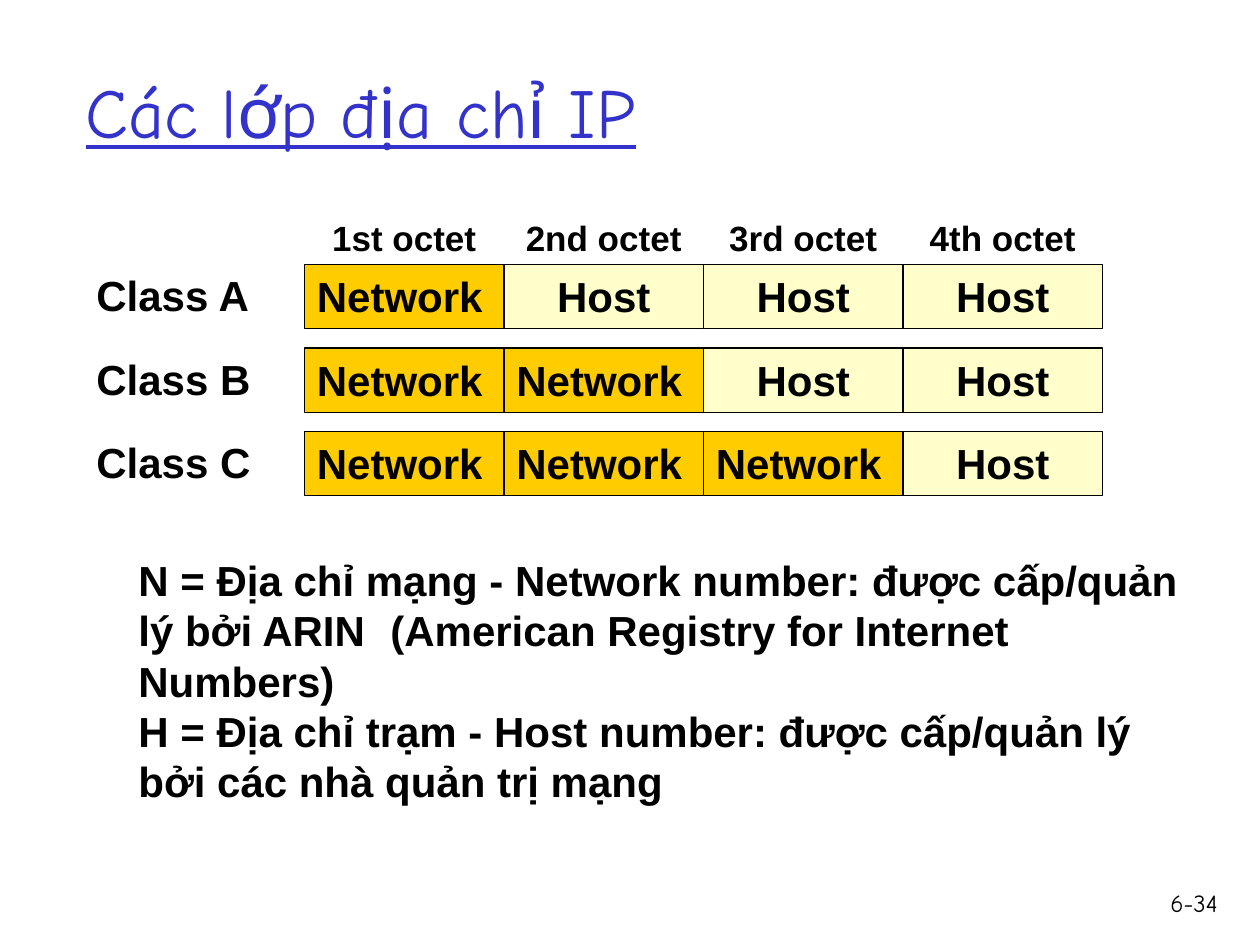
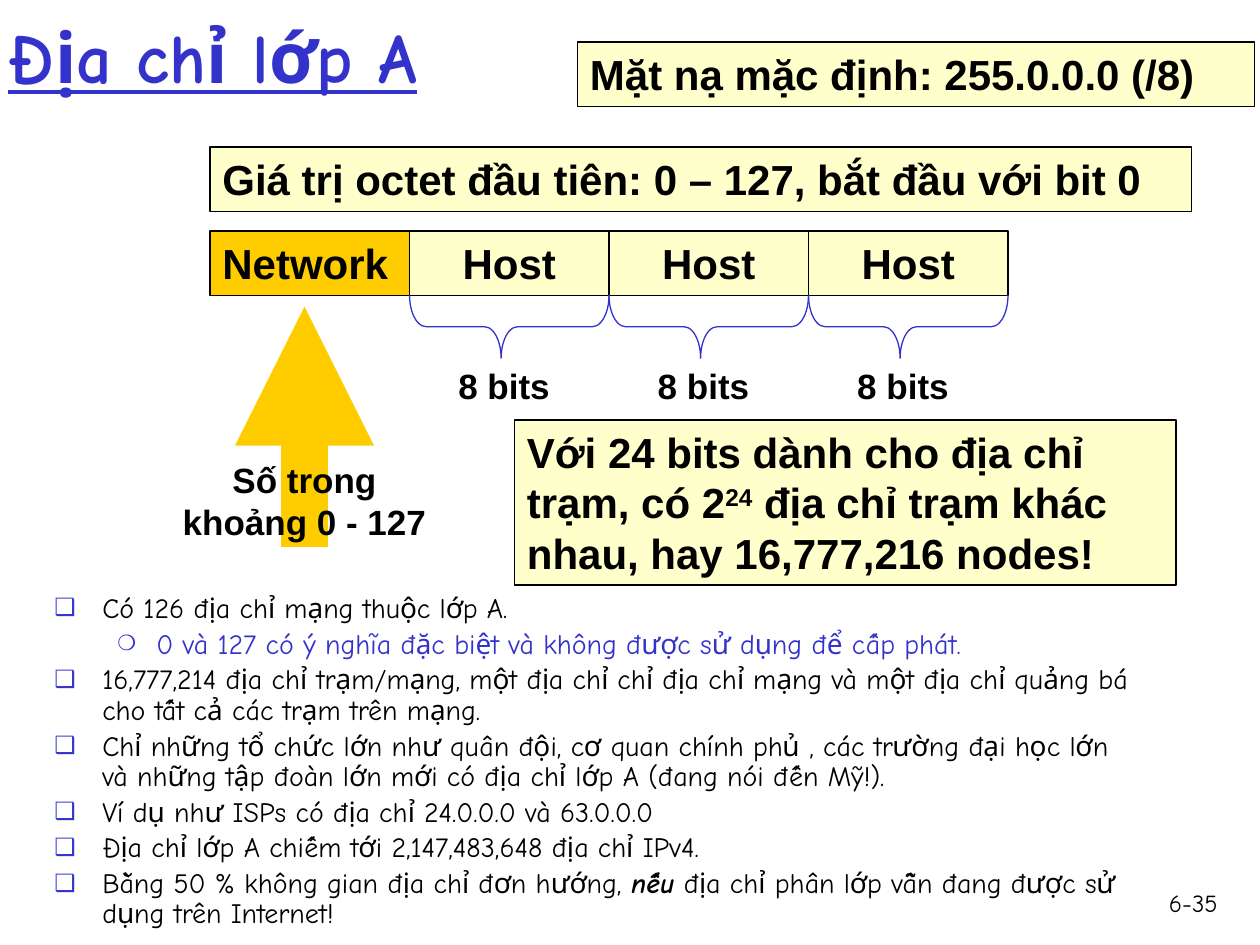
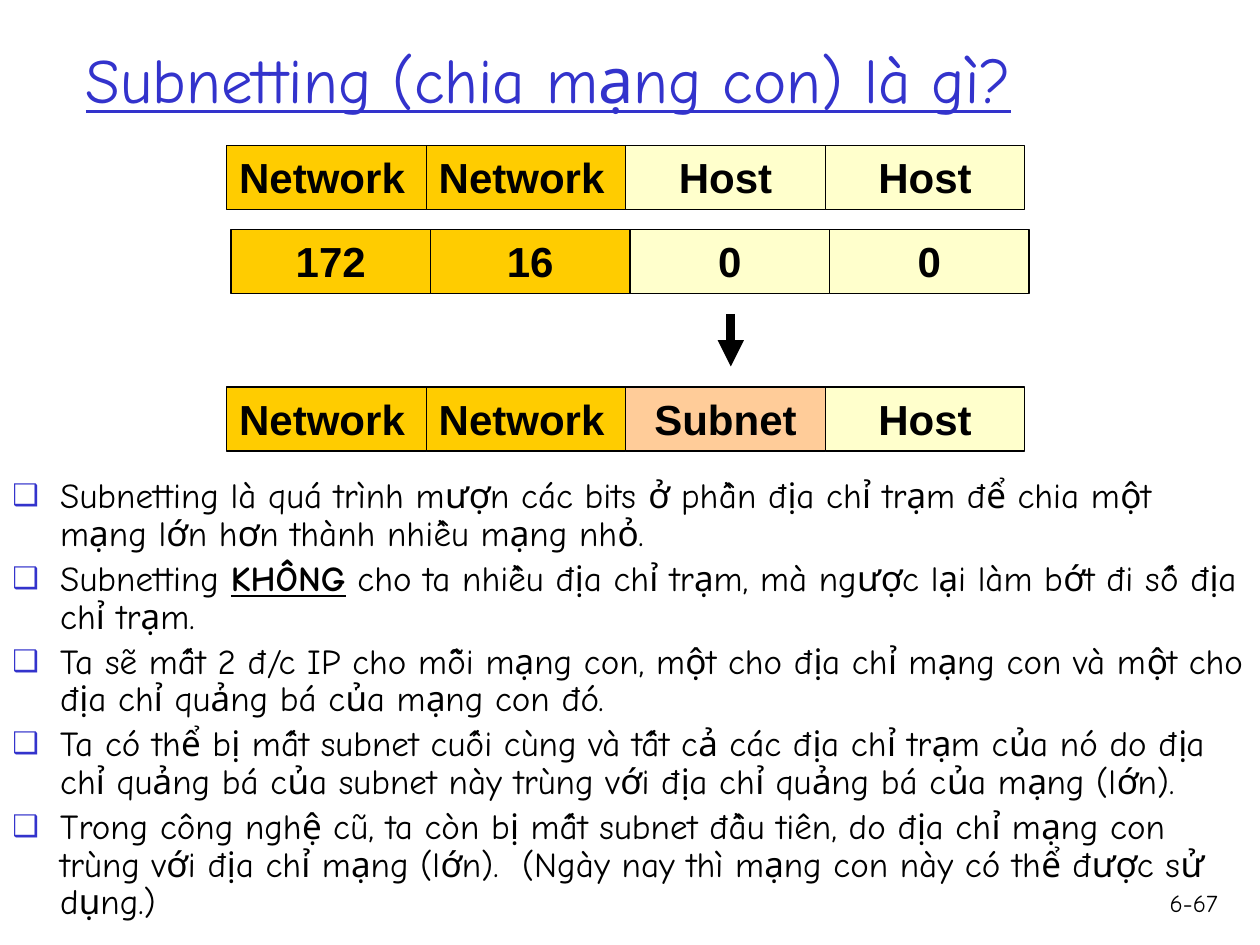
import dataclasses

import lxml.etree
import pptx
import pptx.dml.color
import pptx.enum.shapes
import pptx.enum.text
import pptx.oxml.ns
import pptx.util

ALIGN = pptx.enum.text.PP_ALIGN
ANCHOR = pptx.enum.text.MSO_ANCHOR
SHAPE = pptx.enum.shapes.MSO_SHAPE
COLUMNS, ROWS = 120, 90
OCTET_WIDTH, OCTET_HEIGHT, LABEL_HEIGHT = 19, 6.12, 5.2
NUMBER_LEFT = 109


@dataclasses.dataclass(frozen=True)
class Theme:
    ink: str = "000000"
    accent: str = "3333CC"
    network: str = "FFCC00"
    host: str = "FFFFCC"
    subnet: str = "FFCC99"
    heading_font: str = "Comic Neue"
    diagram_font: str = "Arial"
    title_size: int = 40
    long_title_size: int = 36
    strong_size: int = 24
    label_size: int = 20
    small_size: int = 16
    footer_size: int = 14
    outline: float = 0.75


def rgb(color):
    return pptx.dml.color.RGBColor.from_string(color)


def child(parent, tag, **attributes):
    return lxml.etree.SubElement(parent, pptx.oxml.ns.qn(tag), attributes)


def write(paragraph, text, *, size, font, color, bold=False, italic=False,
          underline=False, raised=False):
    run = paragraph.add_run()
    run.text = text
    run.font.size = pptx.util.Pt(size)
    run.font.name = font
    run.font.color.rgb = rgb(color)
    run.font.bold = bold
    run.font.italic = italic
    run.font.underline = underline
    if raised:
        run.font._element.set("baseline", "30000")


def write_runs(paragraph, content, **style):
    runs = [(content, {})] if isinstance(content, str) else content
    for text, changes in runs:
        write(paragraph, text, **{**style, **changes})


class Deck:
    def __init__(self, theme):
        self.theme = theme
        self.presentation = pptx.Presentation()
        self.presentation.slide_width = pptx.util.Inches(10)
        self.presentation.slide_height = pptx.util.Inches(7.5)
        self.slide = None

    def across(self, columns):
        return round(self.presentation.slide_width * columns / COLUMNS)

    def down(self, rows):
        return round(self.presentation.slide_height * rows / ROWS)

    def place(self, left, top, width, height):
        return self.across(left), self.down(top), self.across(width), self.down(height)

    def strong(self, size=None):
        return dict(size=size or self.theme.strong_size, font=self.theme.diagram_font,
                    color=self.theme.ink, bold=True)

    def start_slide(self, number):
        self.slide = self.presentation.slides.add_slide(self.presentation.slide_layouts[6])
        self.text(number, NUMBER_LEFT, 84, 8.16, 6, align=ALIGN.RIGHT,
                  size=self.theme.footer_size, font=self.theme.heading_font,
                  color=self.theme.ink)

    def frame(self, left, top, width, height):
        frame = self.slide.shapes.add_textbox(*self.place(left, top, width, height)).text_frame
        frame.word_wrap = True
        return frame

    def text(self, content, left, top, width, height, align=ALIGN.LEFT, **style):
        frame = self.frame(left, top, width, height)
        frame.paragraphs[0].alignment = align
        write_runs(frame.paragraphs[0], content, **style)
        return frame

    def title(self, content, left, top, width, height, inset=0.1, **changes):
        style = dict(size=self.theme.title_size, font=self.theme.heading_font,
                     color=self.theme.accent, underline=True)
        frame = self.text(content, left, top, width, height, **{**style, **changes})
        frame.vertical_anchor = ANCHOR.MIDDLE
        frame.margin_left = pptx.util.Inches(inset)

    def label(self, content, left, top, width, height=LABEL_HEIGHT):
        self.text(content, left, top, width, height, align=ALIGN.CENTER,
                  **self.strong(self.theme.label_size))

    def paragraphs(self, contents, left, top, width, height):
        frame = self.frame(left, top, width, height)
        for index, content in enumerate(contents):
            paragraph = frame.add_paragraph() if index else frame.paragraphs[0]
            write_runs(paragraph, content, **self.strong())

    def box(self, content, left, top, width, height=OCTET_HEIGHT, fill=None, align=ALIGN.LEFT):
        shape = self.slide.shapes.add_shape(SHAPE.RECTANGLE, *self.place(left, top, width, height))
        shape.shadow.inherit = False
        shape.fill.solid()
        shape.fill.fore_color.rgb = rgb(fill or self.theme.host)
        shape.line.color.rgb = rgb(self.theme.ink)
        shape.line.width = pptx.util.Pt(self.theme.outline)
        frame = shape.text_frame
        frame.word_wrap = True
        frame.vertical_anchor = ANCHOR.TOP
        frame.paragraphs[0].alignment = align
        write_runs(frame.paragraphs[0], content, **self.strong())

    def address(self, octets, left, top, network_count):
        for index, octet in enumerate(octets):
            fill = self.theme.network if index < network_count else self.theme.host
            self.box(octet, left + index * OCTET_WIDTH, top, OCTET_WIDTH,
                     fill=self.theme.subnet if octet == "Subnet" else fill,
                     align=ALIGN.LEFT if octet == "Network" else ALIGN.CENTER)

    def brace(self, left, top, width, depth):
        shape = self.slide.shapes.add_shape(SHAPE.RIGHT_BRACE, *self.place(
            left + (width - depth) / 2, top + (depth - width) / 2, depth, width))
        shape.rotation = 90
        shape.adjustments[0] = 0.264
        shape.adjustments[1] = 0.541
        shape.shadow.inherit = False
        shape.fill.background()
        shape.line.color.rgb = rgb(self.theme.accent)
        shape.line.width = pptx.util.Pt(self.theme.outline)

    def arrow(self, column, start, end, color, weight):
        connector = self.slide.shapes.add_connector(
            pptx.enum.shapes.MSO_CONNECTOR.STRAIGHT, self.across(column), self.down(start),
            self.across(column), self.down(end))
        connector.line.color.rgb = rgb(color)
        connector.line.width = pptx.util.Pt(weight)
        properties = connector._element.spPr
        child(properties.find(pptx.oxml.ns.qn("a:ln")), "a:tailEnd", type="triangle")
        child(properties, "a:effectLst")

    def bullets(self, items, left, top, width, height, size):
        frame = self.frame(left, top, width, height)
        for index, (level, content) in enumerate(items):
            paragraph = frame.add_paragraph() if index else frame.paragraphs[0]
            mark, scale, margin, hanging = (("❑", 85, 0.38, 0.38), ("❍", 75, 0.81, 0.31))[level]
            properties = paragraph._p.get_or_add_pPr()
            properties.set("marL", str(pptx.util.Inches(margin)))
            properties.set("indent", str(-pptx.util.Inches(hanging)))
            child(child(properties, "a:buClr"), "a:srgbClr", val=self.theme.accent)
            child(properties, "a:buSzPct", val=str(scale * 1000))
            child(properties, "a:buFont", typeface=self.theme.diagram_font)
            child(properties, "a:buChar", char=mark)
            paragraph.level = level
            paragraph.line_spacing = 0.9
            if index:
                paragraph.space_before = pptx.util.Pt(size * 0.2)
            write_runs(paragraph, content, size=size, font=self.theme.heading_font,
                       color=self.theme.accent if level else self.theme.ink)


def build_classes(deck):
    deck.start_slide("6-34")
    deck.title("Các lớp địa chỉ IP", 7, 3, 102, 15)
    left, top, step = 29, 25.2, 7.95
    for index, ordinal in enumerate(("1st", "2nd", "3rd", "4th")):
        deck.label(f"{ordinal} octet", left + index * OCTET_WIDTH, 20, OCTET_WIDTH)
    for index, name in enumerate("ABC"):
        row = top + index * step
        count = index + 1
        deck.text(f"Class {name}", 8, row - 0.1, OCTET_WIDTH, 6, **deck.strong())
        deck.address(["Network"] * count + ["Host"] * (4 - count), left, row, count)
    deck.paragraphs([
        "N = Địa chỉ mạng - Network number: được cấp/quản lý bởi ARIN \t(American Registry for Internet Numbers)",
        "H = Địa chỉ trạm - Host number: được cấp/quản lý bởi các nhà quản trị mạng",
    ], 12, 52.2, 103.3, 25.2)


def build_class_a(deck):
    theme = deck.theme
    deck.start_slide("6-35")
    deck.title("Địa chỉ lớp A", 0, 0, 99.5, 10.5, inset=0.06, bold=True)
    left, top = 20, 22
    deck.address(["Network"] + ["Host"] * 3, left, top, 1)
    deck.box("Giá trị octet đầu tiên: 0 – 127, bắt đầu với bit 0", left, 14, 93.5)
    deck.arrow(29, 52.1, 29.2, theme.network, 26.5)
    deck.label("Số trong khoảng 0 - 127", 15, 43.1, 28, 9.2)
    for index in range(1, 4):
        octet_left = left + index * OCTET_WIDTH
        deck.brace(octet_left, top + OCTET_HEIGHT, OCTET_WIDTH, 6)
        deck.label("8 bits", octet_left + 1, 34.1, 16)
    deck.box([
        ("Với 24 bits dành cho địa chỉ trạm, có 2", {}),
        ("24", dict(raised=True)),
        (" địa chỉ trạm khác nhau, hay 16,777,216 nodes!", {}),
    ], 49, 40, 63, 15.72)
    body_left = 4
    deck.bullets([
        (0, "Có 126 địa chỉ mạng thuộc lớp A."),
        (1, "0 và 127 có ý nghĩa đặc biệt và không được sử dụng để cấp phát."),
        (0, "16,777,214 địa chỉ trạm/mạng, một địa chỉ chỉ địa chỉ mạng và một địa chỉ quảng bá cho tất cả các trạm trên mạng."),
        (0, "Chỉ những tổ chức lớn như quân đội, cơ quan chính phủ , các trường đại học lớn và những tập đoàn lớn mới có địa chỉ lớp A (đang nói đến Mỹ!)."),
        (0, "Ví dụ như ISPs có địa chỉ 24.0.0.0 và 63.0.0.0"),
        (0, "Địa chỉ lớp A chiếm tới 2,147,483,648 địa chỉ IPv4."),
        (0, [("Bằng 50 % không gian địa chỉ đơn hướng, ", {}),
             ("nếu", dict(bold=True, italic=True)),
             (" địa chỉ phân lớp vẫn đang được sử dụng trên Internet!", {})]),
    ], body_left, 56, NUMBER_LEFT - body_left, 33, theme.small_size)
    deck.box("Mặt nạ mặc định: 255.0.0.0 (/8)", 55, 4, 64.5)


def build_subnetting(deck):
    theme = deck.theme
    deck.start_slide("6-67")
    deck.title("Subnetting (chia mạng con) là gì?", 7, 0, 102, 15, size=theme.long_title_size)
    deck.bullets([
        (0, "Subnetting là quá trình mượn các bits ở phần địa chỉ trạm để chia một mạng lớn hơn thành nhiều mạng nhỏ."),
        (0, [("Subnetting ", {}),
             ("KHÔNG", dict(bold=True, underline=True)),
             (" cho ta nhiều địa chỉ trạm, mà ngược lại làm bớt đi số địa chỉ trạm.", {})]),
        (0, "Ta sẽ mất 2 đ/c IP cho mỗi mạng con, một cho địa chỉ mạng con và một cho địa chỉ quảng bá của mạng con đó."),
        (0, "Ta có thể bị mất subnet cuối cùng và tất cả các địa chỉ trạm của nó do địa chỉ quảng bá của subnet này trùng với địa chỉ quảng bá của mạng (lớn)."),
        (0, "Trong công nghệ cũ, ta còn bị mất subnet đầu tiên, do địa chỉ mạng con trùng với địa chỉ mạng (lớn).  (Ngày nay thì mạng con này có thể được sử dụng.)"),
    ], 0, 45, 120, 39, theme.label_size)
    for octets, left, top in (
        (("Network", "Network", "Host", "Host"), 21.6, 13.85),
        (("172", "16", "0", "0"), 22, 21.85),
        (("Network", "Network", "Subnet", "Host"), 21.6, 36.85),
    ):
        deck.address(octets, left, top, 2)
    deck.arrow(69.6, 29.9, 34.9, theme.ink, 5)


def main():
    deck = Deck(Theme())
    build_classes(deck)
    build_class_a(deck)
    build_subnetting(deck)
    deck.presentation.save("out.pptx")


if __name__ == "__main__":
    main()
